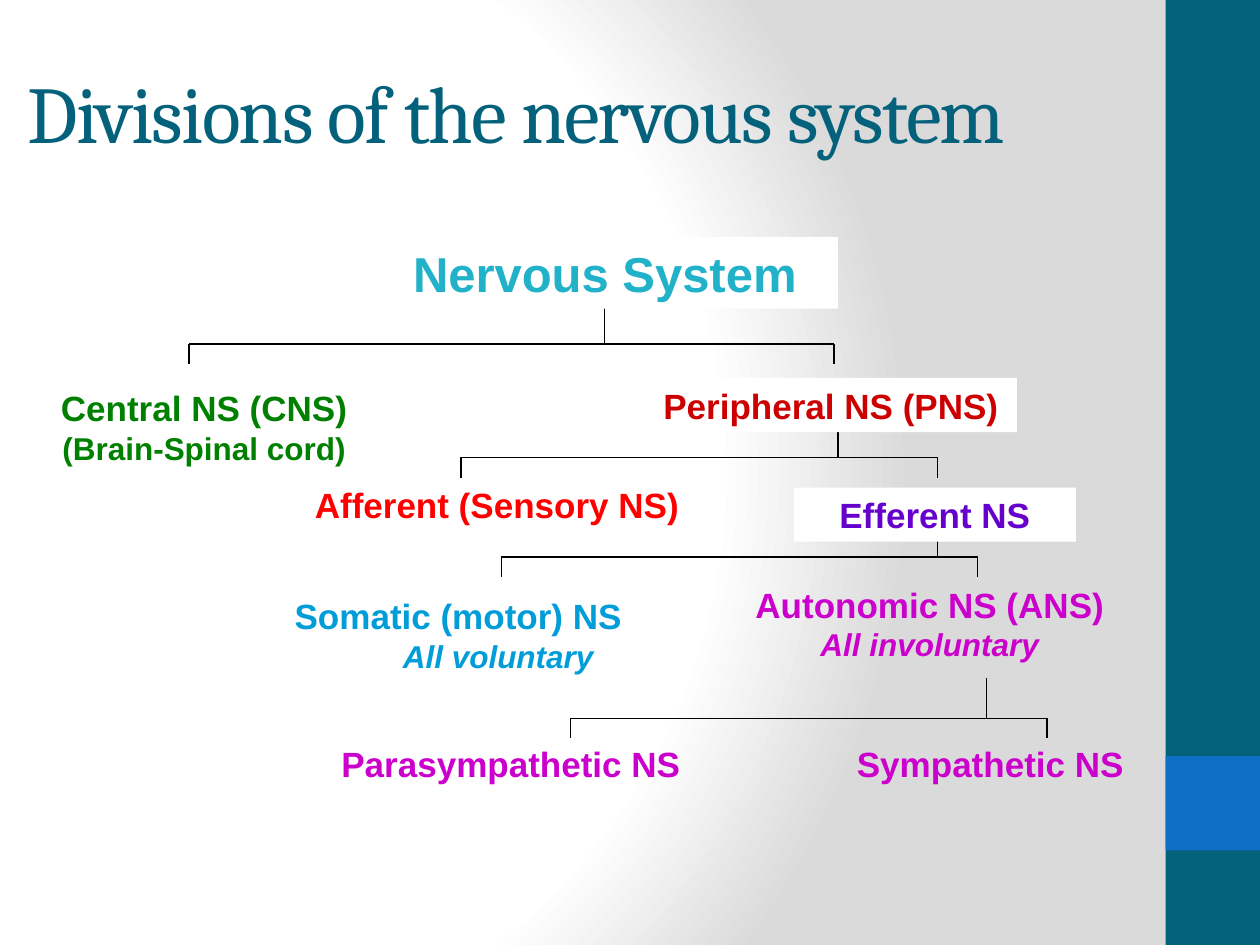
from lxml import etree
from pptx import Presentation
from pptx.dml.color import RGBColor
from pptx.enum.shapes import MSO_CONNECTOR, MSO_SHAPE
from pptx.enum.text import MSO_ANCHOR, MSO_AUTO_SIZE, PP_ALIGN
from pptx.oxml import parse_xml
from pptx.oxml.ns import nsdecls, qn
from pptx.util import Inches, Pt

STRAIGHT = MSO_CONNECTOR.STRAIGHT
RECTANGLE = MSO_SHAPE.RECTANGLE
MIDDLE = MSO_ANCHOR.MIDDLE
TOP = MSO_ANCHOR.TOP
GROW = MSO_AUTO_SIZE.SHAPE_TO_FIT_TEXT
FIXED = MSO_AUTO_SIZE.NONE
LEFT = PP_ALIGN.LEFT
CENTER = PP_ALIGN.CENTER

TEAL = "04617B"
MAGENTA = "CC00CC"
DROP = 0.16


def color(value):
    return RGBColor.from_string(value)


class Diagram:
    """Draws the elements of a tree diagram on one slide."""

    title_font = "Cambria"
    label_font = "Arial"
    line_color = "000000"
    note_size = 18

    def __init__(self, page):
        self.page = page

    def background(self, inner, outer):
        self.page.background.fill.gradient()
        gradient = self.page.background._cSld.find(".//" + qn("a:gradFill"))
        stops = "".join(
            f'<a:gs pos="{place}"><a:srgbClr val="{shade}"/></a:gs>'
            for place, shade in ((0, inner), (75000, inner), (100000, outer))
        )
        radial = parse_xml(
            f'<a:gradFill {nsdecls("a")} rotWithShape="1"><a:gsLst>{stops}</a:gsLst>'
            '<a:path path="circle"><a:fillToRect l="20000" t="50000" r="100000" b="50000"/>'
            "</a:path></a:gradFill>"
        )
        gradient.getparent().replace(gradient, radial)

    def title(self, text, left, top, width, height):
        box = self.page.shapes.title
        box.left, box.top = Inches(left), Inches(top)
        box.width, box.height = Inches(width), Inches(height)
        frame = box.text_frame
        frame.text = text
        frame.auto_size = FIXED
        frame.vertical_anchor = MIDDLE
        para = frame.paragraphs[0]
        para.alignment = LEFT
        para.font.name = self.title_font
        para.font.size = Pt(46)
        para.font.color.rgb = color(TEAL)
        para.runs[0]._r.get_or_add_rPr().set("spc", "-100")

    def panel(self, left, top, width, height, fill):
        box = self.page.shapes.add_shape(
            RECTANGLE, Inches(left), Inches(top), Inches(width), Inches(height))
        box.shadow.inherit = False
        box.fill.solid()
        box.fill.fore_color.rgb = color(fill)
        box.line.fill.background()
        return box

    def line(self, x1, y1, x2, y2):
        line = self.page.shapes.add_connector(
            STRAIGHT, Inches(x1), Inches(y1), Inches(x2), Inches(y2))
        line.line.color.rgb = color(self.line_color)
        line.line.width = Pt(0.75)
        etree.SubElement(line._element.spPr, qn("a:effectLst"))

    def branch(self, stem, top, bar, left, right):
        self.line(stem, top, stem, bar)
        self.line(left, bar, right, bar)
        for x in (left, right):
            self.line(x, bar, x, bar + DROP)

    def caption(self, box, text, shade, size=20, align=CENTER, note=None):
        frame = box.text_frame
        frame.word_wrap = True
        frame.auto_size = GROW
        frame.vertical_anchor = TOP
        frame.text = text
        para = frame.paragraphs[0]
        self.style(para, shade, size, align)
        for span in para.runs[1:]:
            span.font.size = Pt(self.note_size)
        if note:
            para = frame.add_paragraph()
            para.text = note
            self.style(para, shade, self.note_size, CENTER)
            para.font.italic = True

    def style(self, para, shade, size, align):
        para.alignment = align
        para.font.name = self.label_font
        para.font.size = Pt(size)
        para.font.bold = True
        para.font.color.rgb = color(shade)

    def label(self, left, top, width, height, text, shade, **options):
        box = self.page.shapes.add_textbox(
            Inches(left), Inches(top), Inches(width), Inches(height))
        self.caption(box, text, shade, **options)

    def card(self, left, top, width, height, text, shade, **options):
        box = self.panel(left, top, width, height, "FFFFFF")
        self.caption(box, text, shade, **options)


def main():
    deck = Presentation()
    deck.slide_width, deck.slide_height = Inches(10), Inches(7.5)
    diagram = Diagram(deck.slides.add_slide(deck.slide_layouts[5]))

    diagram.background("FFFFFF", "DADADA")
    diagram.panel(9.25, 0, 0.75, 7.5, TEAL)
    diagram.panel(9.25, 6, 0.75, 0.75, "0F6FC6")
    diagram.title("Divisions of the nervous system", 0.12, 0.3, 8.43, 1.17)

    for stem, top, bar, left, right in (
        (4.8, 2.17, 2.73, 1.5, 6.62),
        (6.65, 3.24, 3.63, 3.66, 7.44),
        (7.44, 4.1, 4.42, 3.98, 7.76),
        (7.83, 5.38, 5.7, 4.53, 8.31),
    ):
        diagram.branch(stem, top, bar, left, right)

    diagram.label(0.24, 3.02, 2.76, 0.73, "Central NS (CNS)\v(Brain-Spinal cord)", "008000")
    diagram.label(2.4, 3.79, 3.15, 0.43, "Afferent (Sensory NS)", "FF0000", align=LEFT)
    diagram.label(2.24, 4.67, 3.43, 0.73, "Somatic (motor) NS", "009DD9",
                  align=LEFT, note="All voluntary")
    diagram.label(5.31, 4.58, 4.14, 0.73, "Autonomic NS (ANS)", MAGENTA,
                  note="All involuntary")
    diagram.label(2.4, 5.84, 3.31, 0.43, "Parasympathetic NS", MAGENTA)
    diagram.label(6.54, 5.84, 2.64, 0.43, "Sympathetic NS", MAGENTA)

    diagram.card(2.95, 1.88, 3.7, 0.57, "Nervous System", "21B2C9", size=28)
    diagram.card(6.3, 3.87, 2.24, 0.43, "Efferent NS", "6600CC")
    diagram.card(5.12, 3, 2.95, 0.43, "Peripheral NS (PNS)", "CC0000")

    deck.save("out.pptx")


if __name__ == "__main__":
    main()
